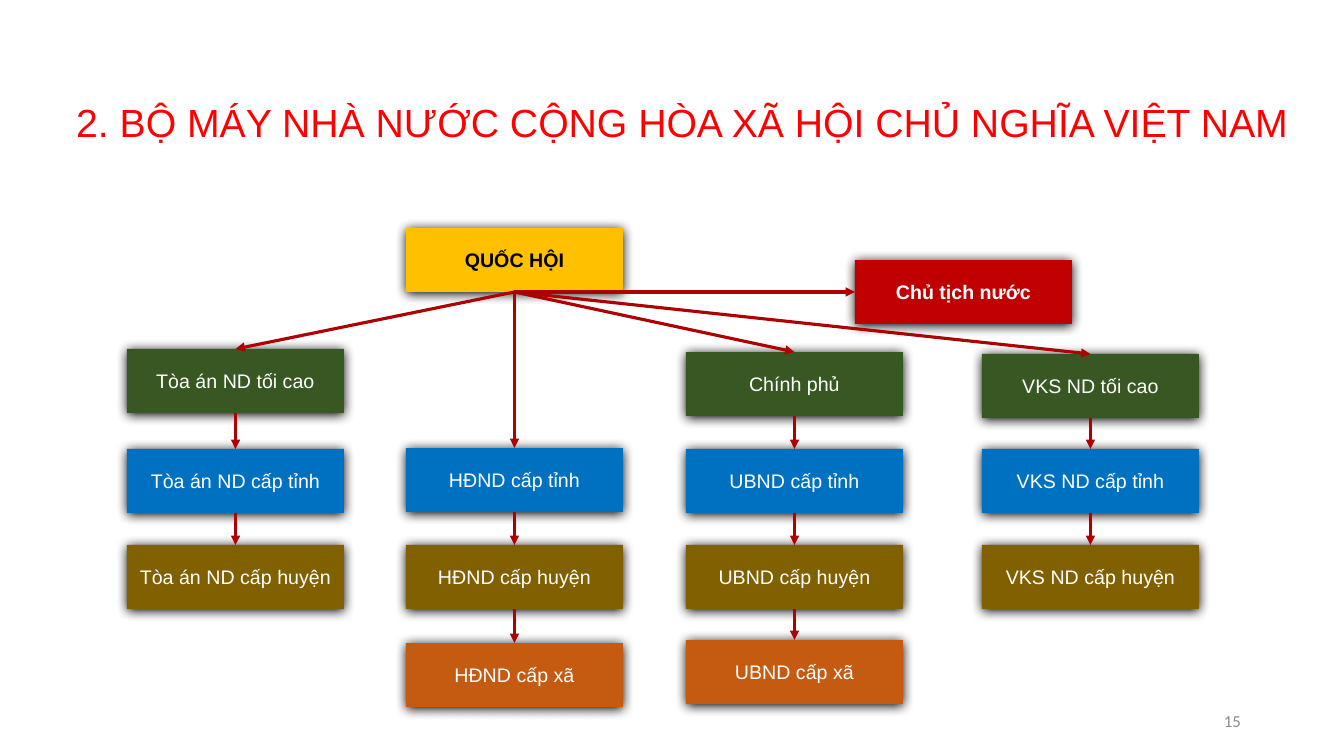
from itertools import pairwise

from pptx import Presentation
from pptx.dml.color import RGBColor
from pptx.enum.shapes import MSO_CONNECTOR as Connector, MSO_SHAPE as Shape
from pptx.enum.text import MSO_ANCHOR as Anchor, MSO_AUTO_SIZE as AutoSize, PP_ALIGN as Align
from pptx.oxml import parse_xml
from pptx.oxml.ns import nsdecls, qn
from pptx.oxml.xmlchemy import OxmlElement
from pptx.util import Emu, Inches, Pt

BLACK = RGBColor(0x00, 0x00, 0x00)
WHITE = RGBColor(0xFF, 0xFF, 0xFF)
RED = RGBColor(0xFF, 0x00, 0x00)
GOLD = RGBColor(0xFF, 0xC0, 0x00)
CRIMSON = RGBColor(0xC0, 0x00, 0x00)
GREEN = RGBColor(0x38, 0x57, 0x23)
BLUE = RGBColor(0x00, 0x70, 0xC0)
OLIVE = RGBColor(0x80, 0x60, 0x00)
ORANGE = RGBColor(0xC5, 0x5A, 0x11)
ARROW = RGBColor(0xAE, 0x02, 0x02)
GREY = RGBColor(0x8C, 0x8C, 0x8C)

PX_PER_INCH = 100.8
BOX_WIDTH, BOX_HEIGHT = 217, 64
TOP, BOTTOM, LEFT = 0, 2, 1

# Each column: left edge, then (text, top, fill) from the highest level down
COLUMNS = [
    (127, [("Tòa án ND tối cao", 349, GREEN), ("Tòa án ND cấp tỉnh", 449, BLUE),
           ("Tòa án ND cấp huyện", 545, OLIVE)]),
    (406, [("HĐND cấp tỉnh", 448, BLUE), ("HĐND cấp huyện", 545, OLIVE),
           ("HĐND cấp xã", 643, ORANGE)]),
    (686, [("Chính phủ", 352, GREEN), ("UBND cấp tỉnh", 449, BLUE),
           ("UBND cấp huyện", 545, OLIVE), ("UBND cấp xã", 640, ORANGE)]),
    (982, [("VKS ND tối cao", 354, GREEN), ("VKS ND cấp tỉnh", 449, BLUE),
           ("VKS ND cấp huyện", 545, OLIVE)]),
]


def px(count):
    return Emu(round(count * Inches(1) / PX_PER_INCH))


def write(shape, text, size=14, color=WHITE, bold=False, align=Align.CENTER, font="Arial"):
    frame = shape.text_frame
    frame.auto_size = AutoSize.NONE
    frame.word_wrap = True
    frame.vertical_anchor = Anchor.MIDDLE
    para = frame.paragraphs[0]
    para.alignment = align
    span = para.add_run()
    span.text = text
    span.font.name = font
    span.font.size = Pt(size)
    span.font.bold = bold
    span.font.color.rgb = color
    return para


class Chart:
    """One slide of the organisation chart and its style."""

    def __init__(self, deck):
        self.page = deck.slides.add_slide(deck.slide_layouts[5])

    def title(self, text, left, top, width, height):
        title = self.page.shapes.title
        title.left, title.top, title.width, title.height = map(px, (left, top, width, height))
        para = write(title, text, size=28, color=RED)
        para._p.get_or_add_pPr().set("marL", str(Inches(0.2)))

    def label(self, text, left, top, width, height, **style):
        box = self.page.shapes.add_textbox(*map(px, (left, top, width, height)))
        write(box, text, **style)

    def box(self, text, left, top, fill, **style):
        box = self.page.shapes.add_shape(
            Shape.RECTANGLE, *map(px, (left, top, BOX_WIDTH, BOX_HEIGHT)))
        box.fill.solid()
        box.fill.fore_color.rgb = fill
        box.line.fill.background()
        box.shadow.inherit = False
        effects = box._element.spPr.find(qn("a:effectLst"))
        effects.append(parse_xml(
            f'<a:outerShdw {nsdecls("a")} blurRad="{Pt(8.5)}" dist="{Pt(1)}" dir="5400000" '
            f'algn="t" rotWithShape="0"><a:srgbClr val="{BLACK}"/></a:outerShdw>'))
        write(box, text, **style)
        return box

    def arrow(self, source, target, side=TOP):
        """Join the bottom of source to the given side of target."""
        arrow = self.page.shapes.add_connector(Connector.STRAIGHT, 0, 0, 0, 0)
        arrow.begin_connect(source, BOTTOM)
        arrow.end_connect(target, side)
        arrow.line.color.rgb = ARROW
        arrow.line.width = Pt(2.25)
        head = OxmlElement("a:tailEnd")
        head.set("type", "triangle")
        arrow.line._get_or_add_ln().append(head)
        arrow._element.spPr.append(OxmlElement("a:effectLst"))


def main():
    deck = Presentation()
    deck.slide_width, deck.slide_height = px(1344), px(756)
    chart = Chart(deck)
    chart.title("2. BỘ MÁY NHÀ NƯỚC CỘNG HÒA XÃ HỘI CHỦ NGHĨA VIỆT NAM", 0, 93, 1344, 58)

    assembly = chart.box("QUỐC HỘI", 406, 228, GOLD, color=BLACK, bold=True)
    president = chart.box("Chủ tịch nước", 855, 260, CRIMSON, bold=True)
    branches = [[chart.box(text, left, top, fill) for text, top, fill in levels]
                for left, levels in COLUMNS]

    chart.arrow(assembly, president, side=LEFT)
    for branch in branches:
        for upper, lower in pairwise([assembly, *branch]):
            chart.arrow(upper, lower)

    chart.label("15", 949, 701, 302, 40, size=12, color=GREY, align=Align.RIGHT, font="Calibri")
    deck.save("out.pptx")


if __name__ == "__main__":
    main()
